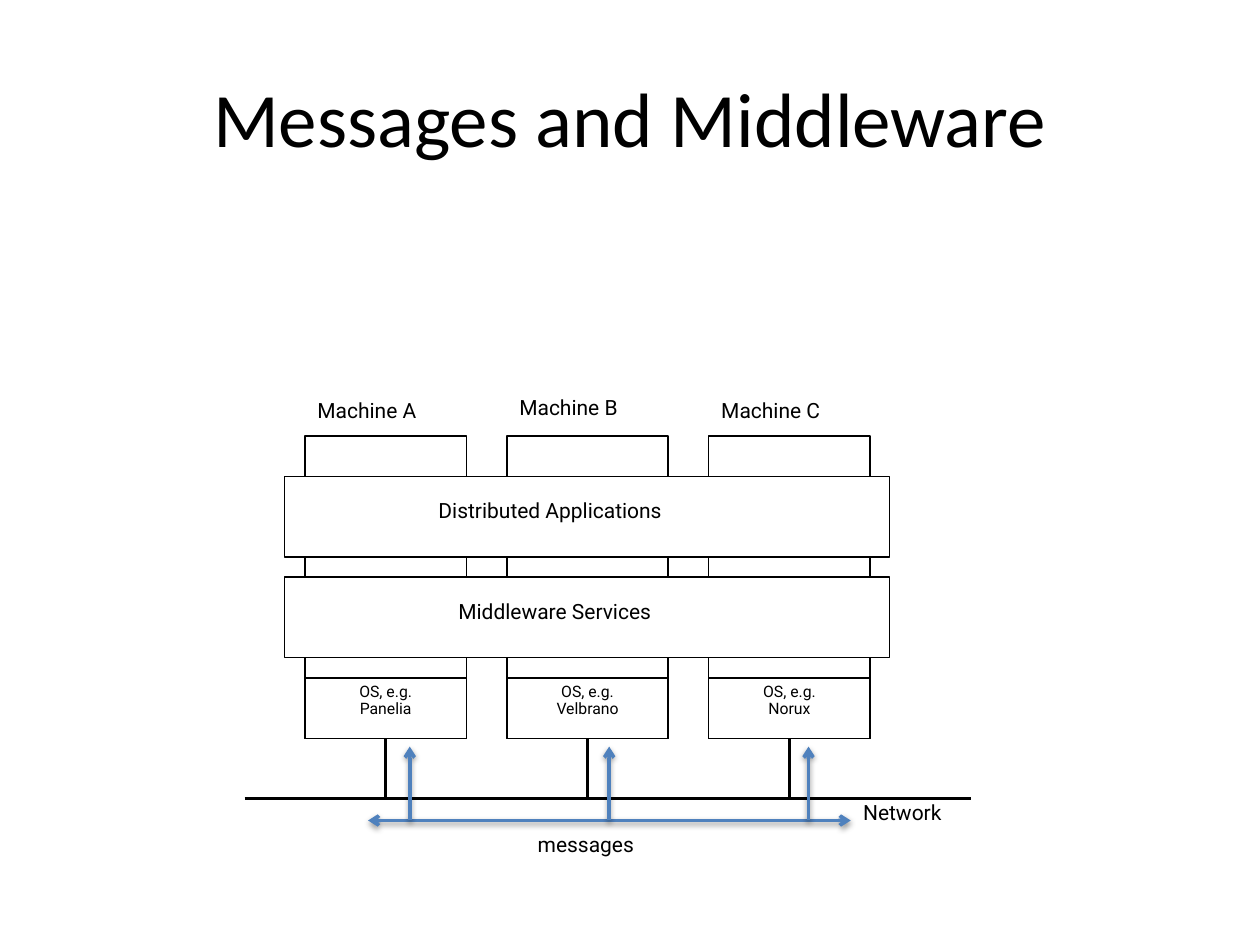
from lxml.etree import SubElement
from pptx import Presentation
from pptx.dml.color import RGBColor
from pptx.enum.shapes import MSO_CONNECTOR as Connector, MSO_SHAPE as Shape
from pptx.enum.text import MSO_ANCHOR as Anchor, PP_ALIGN as Align
from pptx.oxml.ns import qn
from pptx.util import Cm, Pt

BLACK = RGBColor(0x00, 0x00, 0x00)
WHITE = RGBColor(0xFF, 0xFF, 0xFF)
BLUE = RGBColor(0x4F, 0x81, 0xBD)

# Each machine: name, operating system, top of its label
MACHINES = [
    ("Machine A", "Panelia", 7.98),
    ("Machine B", "Velbrano", 7.92),
    ("Machine C", "Norux", 7.98),
]
# Each layer across the machines: name, top, left and width of its label
LAYERS = [
    ("Distributed Applications", 9.6, 8.59, 8.13),
    ("Middleware Services", 11.63, 8.99, 5.69),
]
MACHINE_LEFT, MACHINE_TOP, MACHINE_PITCH = 6.15, 8.79, 4.07
MACHINE_WIDTH, MACHINE_HEIGHT = 3.25, 6.1
MACHINE_BOTTOM = MACHINE_TOP + MACHINE_HEIGHT
SYSTEM_HEIGHT, LABEL_HEIGHT = 1.22, 0.86
NETWORK_Y, MESSAGE_Y = 16.1, 16.54


class Diagram:
    """Holds the slide and the style of its elements."""
    title_font = "Calibri"
    label_font = "Roboto"

    def __init__(self, slide):
        self.slide = slide

    def format_paragraph(self, paragraph, font_name, size, align):
        paragraph.alignment = align
        for run in paragraph.runs:
            run.font.name = font_name
            run.font.size = Pt(size)
            run.font.color.rgb = BLACK

    def title(self, text, left, top, width, height):
        shape = self.slide.shapes.title
        shape.left, shape.top = Cm(left), Cm(top)
        shape.width, shape.height = Cm(width), Cm(height)
        shape.text_frame.text = text
        shape.text_frame.vertical_anchor = Anchor.MIDDLE
        self.format_paragraph(shape.text_frame.paragraphs[0],
                              self.title_font, 44, Align.CENTER)

    def box(self, left, top, width, height):
        shape = self.slide.shapes.add_shape(
            Shape.RECTANGLE, Cm(left), Cm(top), Cm(width), Cm(height))
        shape.shadow.inherit = False
        shape.fill.solid()
        shape.fill.fore_color.rgb = WHITE
        shape.line.color.rgb = BLACK
        shape.line.width = Pt(0.75)

    def label(self, text, left, top, width=MACHINE_WIDTH, height=LABEL_HEIGHT,
              size=12, align=Align.LEFT, spacing=0.8):
        shape = self.slide.shapes.add_textbox(
            Cm(left), Cm(top), Cm(width), Cm(height))
        shape.text_frame.word_wrap = True
        shape.text_frame.text = text
        for paragraph in shape.text_frame.paragraphs:
            paragraph.line_spacing = spacing
            self.format_paragraph(paragraph, self.label_font, size, align)

    def line(self, x1, y1, x2, y2, color=BLACK):
        connector = self.slide.shapes.add_connector(
            Connector.STRAIGHT, Cm(x1), Cm(y1), Cm(x2), Cm(y2))
        connector.line.color.rgb = color
        connector.line.width = Pt(2)
        effects = SubElement(connector._element.spPr, qn("a:effectLst"))
        return connector, effects

    def arrow(self, x1, y1, x2, y2, ends=("tailEnd",)):
        connector, effects = self.line(x1, y1, x2, y2, BLUE)
        line_element = connector.line._get_or_add_ln()
        for end in ends:
            SubElement(line_element, qn(f"a:{end}"), type="arrow")
        shadow = SubElement(effects, qn("a:outerShdw"), blurRad=str(Pt(3.1)),
                            dist=str(Pt(1.6)), dir="5400000", rotWithShape="0")
        color = SubElement(shadow, qn("a:srgbClr"), val=str(BLACK))
        SubElement(color, qn("a:alpha"), val="38000")


def main():
    presentation = Presentation()
    presentation.slide_width, presentation.slide_height = Cm(25.4), Cm(19.05)
    slide = presentation.slides.add_slide(presentation.slide_layouts[5])
    diagram = Diagram(slide)
    diagram.title("Messages and Middleware", 1.27, 0.76, 22.86, 3.18)

    columns = [MACHINE_LEFT + i * MACHINE_PITCH for i in range(len(MACHINES))]

    # Machines
    for left, (name, _, label_top) in zip(columns, MACHINES):
        diagram.box(left, MACHINE_TOP, MACHINE_WIDTH, MACHINE_HEIGHT)
        diagram.label(name, left, label_top)

    # Layers shared by all machines
    for name, top, label_left, label_width in LAYERS:
        diagram.box(5.74, top, 12.2, 1.63)
        diagram.label(name, label_left, top + 0.41, label_width, 0.81)

    # Operating systems
    system_top = MACHINE_BOTTOM - SYSTEM_HEIGHT
    for left, (_, system, _) in zip(columns, MACHINES):
        place = left, system_top, MACHINE_WIDTH, SYSTEM_HEIGHT
        diagram.box(*place)
        diagram.label(f"OS, e.g.\n{system}", *place,
                      size=9, align=Align.CENTER, spacing=0.88)

    # Network and its links to the machines
    diagram.line(4.93, NETWORK_Y, 19.58, NETWORK_Y)
    for left in columns:
        center = left + MACHINE_WIDTH / 2
        diagram.line(center, MACHINE_BOTTOM, center, NETWORK_Y)
    diagram.label("Network", 17.15, NETWORK_Y)

    # Messages
    diagram.arrow(7.42, MESSAGE_Y, 17.15, MESSAGE_Y, ("headEnd", "tailEnd"))
    diagram.label("messages", 10.59, 16.74)
    for i in range(len(MACHINES)):
        x = 8.26 + i * 4.02
        diagram.arrow(x, MESSAGE_Y, x, 15.05)

    presentation.save("out.pptx")


if __name__ == "__main__":
    main()
